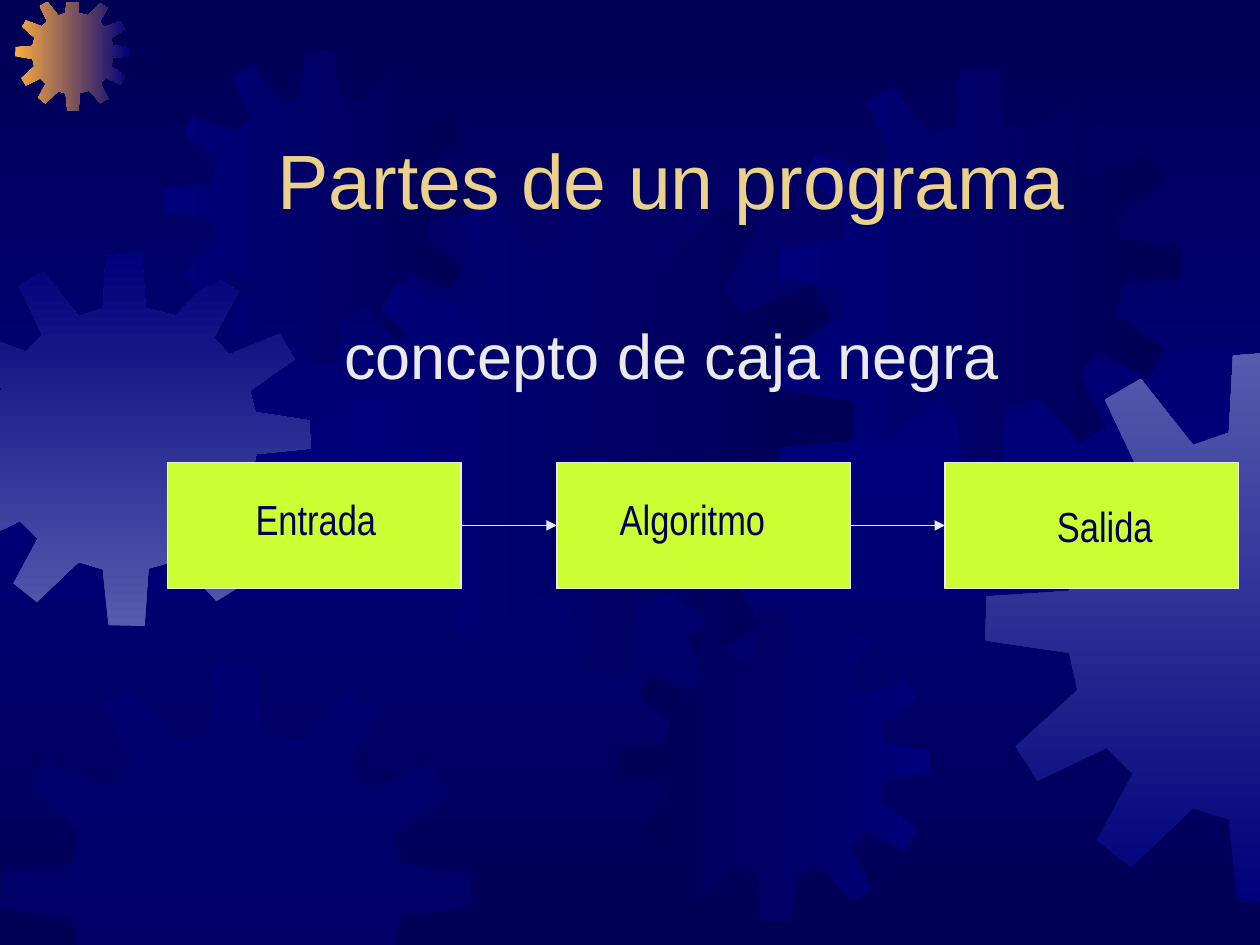
from copy import deepcopy

from lxml import etree
from pptx import Presentation
from pptx.dml import color
from pptx.enum import shapes, text
from pptx.oxml import ns
from pptx.util import Inches, Pt

COLORS = {
    "navy": "000054", "blue": "00007A", "haze": "555BAD", "orange": "FCAB40",
    "lime": "CCFF33", "light": "EAEAEA", "gold": "EBD189",
}
GEAR_SIZE = 401
GEAR = [
    (255, 67), (223, 59), (219, 0), (180, 3), (177, 59), (151, 68),
    (113, 20), (87, 35), (112, 88), (94, 106), (38, 85), (25, 107),
    (68, 145), (61, 174), (1, 178), (0, 210), (61, 219), (67, 246),
    (22, 287), (38, 312), (88, 288), (107, 307), (81, 355), (106, 375),
    (151, 332), (177, 340), (183, 400), (222, 401), (226, 339), (259, 330),
    (299, 374), (325, 358), (299, 306), (316, 284), (368, 309), (384, 281),
    (336, 246), (342, 216), (401, 210), (400, 180), (341, 171), (335, 148),
    (383, 114), (367, 87), (313, 109), (296, 91), (323, 41), (297, 25),
]
GEARS = [
    (-0.49, 2.01, 2.96, "haze", "blue", 90),
    (0.12, -0.03, 0.91, "orange", "blue", 0),
    (1.3, 0.39, 2.48, "navy", "blue", 180),
    (2.77, 1.39, 4.01, "blue", "navy", 0),
    (0, 5.25, 3.74, "blue", None, 0),
    (4.91, 4.84, 2.48, "navy", "blue", 0),
    (6.18, 0.53, 3.2, "blue", "navy", 0),
    (7.82, 2.79, 4.38, "blue", "haze", 90),
]
EDGES = [(0, -0.01, 1), (1, 0.02, 1), (0, 10.01, -1), (1, 7.54, -1)]
BOX_W, BOX_H, BOX_TOP = 2.33, 1, 3.67
BOXES = [
    (1.33, "Entrada", 1.93, 3.87, 1.2),
    (4.42, "Algoritmo", 4.82, 3.87, 1.45),
    (7.5, "Salida", 8.29, 3.92, 1),
]


def rgb(name):
    """Return the named palette colour."""
    return color.RGBColor.from_string(COLORS[name])


def set_gradient(fill, start, end, angle):
    """Apply a two-stop linear gradient, angle counted anticlockwise."""
    fill.gradient()
    fill.gradient_angle = angle
    for stop, name, pos in zip(fill.gradient_stops, (start, end), (0, 1)):
        stop.color.rgb = rgb(name)
        stop.position = pos


def set_background(s):
    """Paint the slide navy at both ends and blue in the middle."""
    fill = s.background.fill
    set_gradient(fill, "navy", "blue", 270)
    fill.gradient_stops[1].position = 0.5
    stops = s.background._cSld.find(".//" + ns.qn("a:gsLst"))
    last = deepcopy(stops[0])
    last.set("pos", "100000")
    stops.append(last)


def clip(points, axis, limit, sign):
    """Cut a polygon along one straight edge."""
    kept = []
    for p, q in zip(points[-1:] + points[:-1], points):
        a, b = sign * (p[axis] - limit), sign * (q[axis] - limit)
        if a * b < 0:
            t = a / (a - b)
            kept.append((p[0] + t * (q[0] - p[0]), p[1] + t * (q[1] - p[1])))
        if b >= 0:
            kept.append(q)
    return kept


def add_gear(s, left, top, size, start, end, angle):
    """Draw one gear, trimmed to the slide area."""
    points = [(left + x * size / GEAR_SIZE, top + y * size / GEAR_SIZE) for x, y in GEAR]
    for edge in EDGES:
        points = clip(points, *edge)
    points = [(Inches(x), Inches(y)) for x, y in points]
    builder = s.shapes.build_freeform(*points[0], scale=1.0)
    builder.add_line_segments(points[1:], close=True)
    sp = builder.convert_to_shape()
    sp.shadow.inherit = False
    sp.line.fill.background()
    if end:
        set_gradient(sp.fill, start, end, angle)
    else:
        sp.fill.solid()
        sp.fill.fore_color.rgb = rgb(start)
        clr = sp._element.spPr.find(".//" + ns.qn("a:srgbClr"))
        etree.SubElement(clr, ns.qn("a:alpha"), val="50000")


def add_box(s, left):
    """Draw one stage rectangle."""
    sp = s.shapes.add_shape(shapes.MSO_SHAPE.RECTANGLE, Inches(left), Inches(BOX_TOP),
                            Inches(BOX_W), Inches(BOX_H))
    sp.shadow.inherit = False
    sp.fill.solid()
    sp.fill.fore_color.rgb = rgb("lime")
    sp.line.color.rgb = rgb("light")
    sp.line.width = Pt(0.75)


def add_arrow(s, start, end):
    """Draw a horizontal arrow between two stages."""
    y = Inches(BOX_TOP + BOX_H / 2)
    c = s.shapes.add_connector(shapes.MSO_CONNECTOR.STRAIGHT, Inches(start), y, Inches(end), y)
    c.line.color.rgb = rgb("light")
    c.line.width = Pt(0.75)
    etree.SubElement(c.line._get_or_add_ln(), ns.qn("a:tailEnd"), type="triangle")
    etree.SubElement(c._element.spPr, ns.qn("a:effectLst"))


def style_text(p, size, font, name):
    """Format every run of a paragraph."""
    for r in p.runs:
        r.font.size = Pt(size)
        r.font.name = font
        r.font.color.rgb = rgb(name)


def add_label(s, words, left, top, width):
    """Place the name of a stage on a single line."""
    tf = s.shapes.add_textbox(Inches(left), Inches(top), Inches(width), Inches(0.5)).text_frame
    tf.word_wrap = True
    tf.auto_size = text.MSO_AUTO_SIZE.NONE
    tf.text = words
    style_text(tf.paragraphs[0], 24, "Arial Narrow", "navy")


def add_title(s):
    """Place the title and its subtitle."""
    tf = s.shapes.add_textbox(Inches(1.08), Inches(0.83), Inches(8.5), Inches(2.33)).text_frame
    tf.word_wrap = True
    tf.vertical_anchor = text.MSO_ANCHOR.BOTTOM
    tf.text = "Partes de un programa\nconcepto de caja negra"
    for p, size, name in zip(tf.paragraphs, (44, 36), ("gold", "light")):
        p.alignment = text.PP_ALIGN.CENTER
        style_text(p, size, "Arial", name)
    tf.paragraphs[1].space_before = Pt(52)


def main():
    """Build and save the slide."""
    prs = Presentation()
    prs.slide_width, prs.slide_height = Inches(10), Inches(7.5)
    s = prs.slides.add_slide(prs.slide_layouts[6])
    set_background(s)
    for gear in GEARS:
        add_gear(s, *gear)
    add_title(s)
    for box in BOXES:
        add_box(s, box[0])
    for box, following in zip(BOXES, BOXES[1:]):
        add_arrow(s, box[0] + BOX_W, following[0])
    for box in BOXES:
        add_label(s, *box[1:])
    prs.save("out.pptx")


if __name__ == "__main__":
    main()
